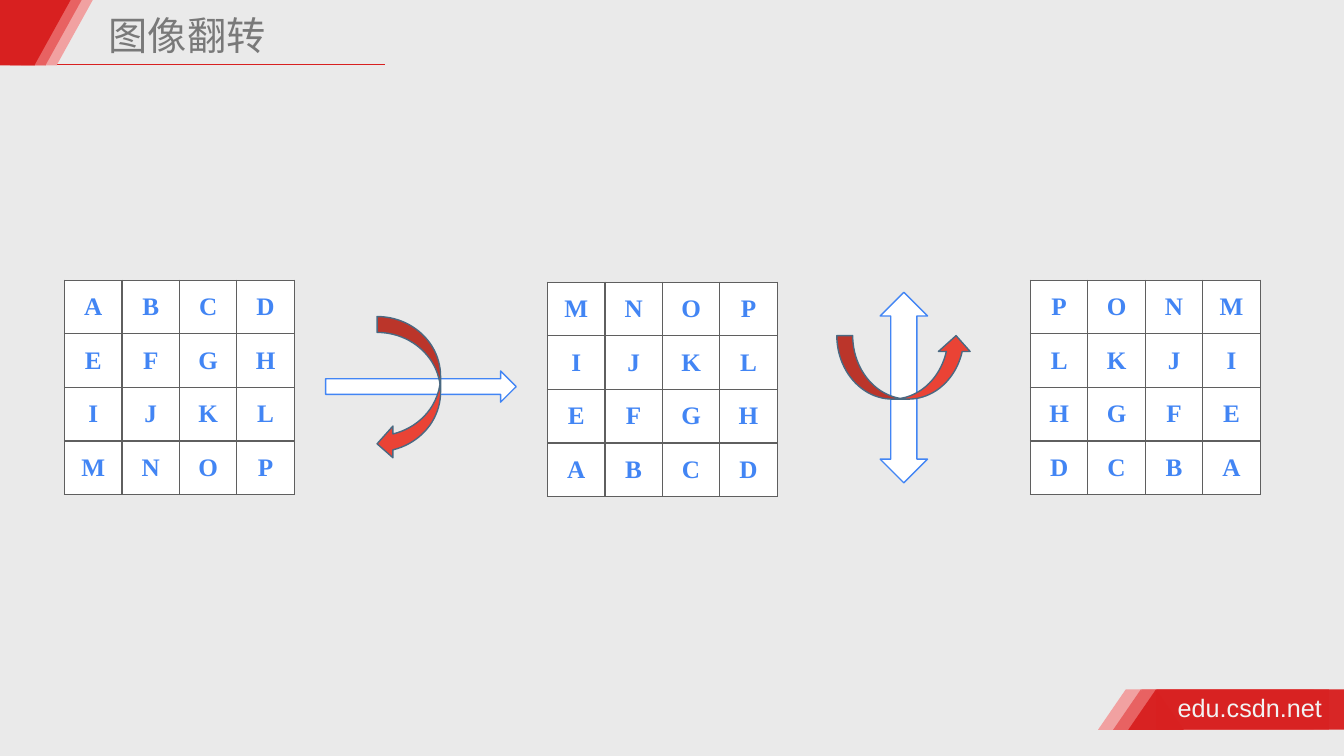
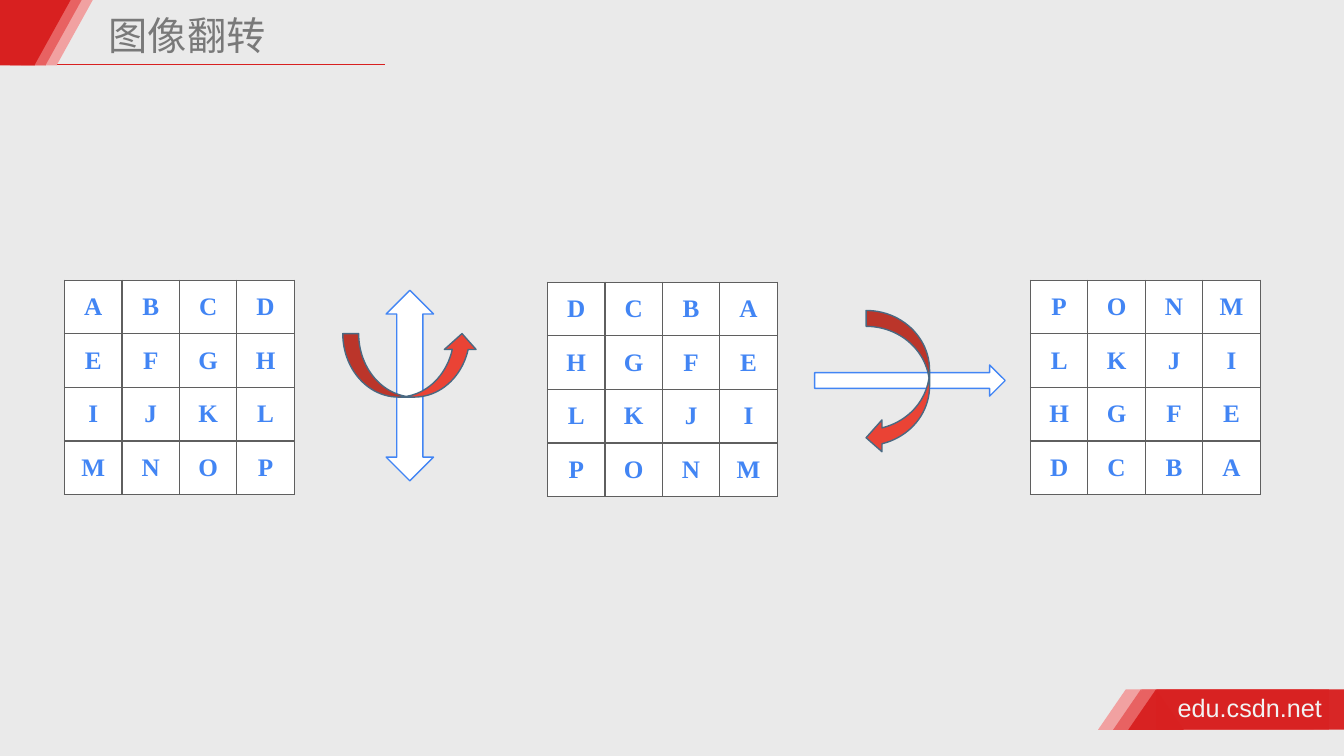
from lxml import etree
from pptx import Presentation
from pptx.dml.color import RGBColor
from pptx.enum.shapes import MSO_CONNECTOR, MSO_SHAPE
from pptx.enum.text import MSO_ANCHOR, MSO_AUTO_SIZE, PP_ALIGN
from pptx.oxml.ns import qn
from pptx.util import Inches, Pt

RECTANGLE, TRIANGLE = MSO_SHAPE.RECTANGLE, MSO_SHAPE.ISOSCELES_TRIANGLE
RIGHT_ARROW, UP_DOWN_ARROW = MSO_SHAPE.RIGHT_ARROW, MSO_SHAPE.UP_DOWN_ARROW
CURL_LEFT, CURL_UP = MSO_SHAPE.CURVED_LEFT_ARROW, MSO_SHAPE.CURVED_UP_ARROW
STRAIGHT = MSO_CONNECTOR.STRAIGHT
CENTER, MIDDLE = PP_ALIGN.CENTER, MSO_ANCHOR.MIDDLE
FIT_SHAPE = MSO_AUTO_SIZE.SHAPE_TO_FIT_TEXT

COLOURS = {
    "page": "EAEAEA", "pale": "F1A1A1", "mid": "E86262", "red": "D82020",
    "title": "797979", "footer": "F2F2F2", "white": "FFFFFF",
    "blue": "4285F4", "border": "5F5F5F", "curl": "EA4335", "curl_edge": "4A6982",
}
TITLE_FONT, FOOTER_FONT, LETTER_FONT = "Noto Sans CJK SC", "Arial", "Times New Roman"
GRID_STEP = 0.1
CELL_WIDTH, CELL_HEIGHT = 5.7, 5.32
LETTERS = ["ABCD", "EFGH", "IJKL", "MNOP"]


def grid(*steps):
    return [Inches(step * GRID_STEP) for step in steps]


def colour(name):
    return RGBColor.from_string(COLOURS[name])


def flip_rows(rows):
    return rows[::-1]


def flip_columns(rows):
    return [row[::-1] for row in rows]


class FlipDeck:
    """Holds the deck style and current page, placing elements on a grid of tenths of an inch."""

    def __init__(self):
        self.deck = Presentation()
        self.deck.slide_width, self.deck.slide_height = Inches(13.33), Inches(7.5)
        backdrop = self.deck.slide_master.background.fill
        backdrop.solid()
        backdrop.fore_color.rgb = colour("page")

    def new_page(self, title):
        self.page = self.deck.slides.add_slide(self.deck.slide_layouts[6])
        self.rule(4.9, 38.2, 6.4)
        for index, tint in enumerate(("pale", "mid", "red")):
            left = 108.9 + 1.5 * index
            opacity = 97 if tint == "red" else 100
            self.shape(RECTANGLE, left + 2.8, 68.4, 18.6, 4, tint, opacity=opacity)
            self.shape(TRIANGLE, left, 68.4, 5.5, 4, tint, opacity=opacity)
        self.text("edu.csdn.net", 116.3, 68.2, 15.5, 4, 18, FOOTER_FONT, "footer", wrap=False)
        for index, tint in enumerate(("pale", "mid", "red")):
            left = 2 - 1.1 * index
            self.shape(RECTANGLE, left + 0.1, 0, 3.5, 6.5, tint)
            self.shape(TRIANGLE, left, 0, 7.2, 6.5, tint).rotation = 180
        self.text(title, 10.3, 1.2, 43.6, 5.3, 28, TITLE_FONT, "title", spacing=0.9)

    def rule(self, start, end, top):
        line = self.page.shapes.add_connector(STRAIGHT, *grid(start, top, end, top))
        line.line.color.rgb = colour("red")
        line.line.width = Pt(1)
        etree.SubElement(line._element.spPr, qn("a:effectLst"))

    def shape(self, kind, left, top, width, height, fill, edge=None, opacity=100):
        shape = self.page.shapes.add_shape(kind, *grid(left, top, width, height))
        shape.shadow.inherit = False
        shape.fill.solid()
        shape.fill.fore_color.rgb = colour(fill)
        if opacity < 100:
            tint = shape._element.spPr.find(qn("a:solidFill"))[0]
            etree.SubElement(tint, qn("a:alpha"), val=str(opacity * 1000))
        if edge:
            shape.line.color.rgb = colour(edge)
            shape.line.width = Pt(1)
        else:
            shape.line.fill.background()
        return shape

    def style(self, para, size, font, tint, bold=False):
        para.font.size = Pt(size)
        para.font.bold = bold
        para.font.color.rgb = colour(tint)
        para.font.name = font
        properties = para._p.pPr.find(qn("a:defRPr"))
        etree.SubElement(properties, qn("a:ea"), typeface=font)

    def text(self, words, left, top, width, height, size, font, tint, wrap=True, spacing=None):
        box = self.page.shapes.add_textbox(*grid(left, top, width, height))
        frame = box.text_frame
        frame.word_wrap = wrap
        frame.auto_size = FIT_SHAPE
        frame.margin_left = frame.margin_right = Inches(0.05)
        frame.margin_top = frame.margin_bottom = Inches(0.05)
        para = frame.paragraphs[0]
        para.text = words
        para.line_spacing = spacing
        self.style(para, size, font, tint)

    def matrix(self, rows, left, top):
        size = len(rows)
        place = grid(left, top, CELL_WIDTH * size, CELL_HEIGHT * size)
        table = self.page.shapes.add_table(size, size, *place).table
        table.first_row = table.horz_banding = False
        for row_index, row in enumerate(rows):
            for column_index, letter in enumerate(row):
                self.letter_cell(table.cell(row_index, column_index), letter)

    def letter_cell(self, cell, letter):
        cell.margin_left = cell.margin_right = cell.margin_top = cell.margin_bottom = 0
        cell.vertical_anchor = MIDDLE
        properties = cell._tc.get_or_add_tcPr()
        for side in ("lnL", "lnR", "lnT", "lnB"):
            border = etree.SubElement(properties, qn(f"a:{side}"), w=str(Pt(1)))
            fill = etree.SubElement(border, qn("a:solidFill"))
            etree.SubElement(fill, qn("a:srgbClr"), val=COLOURS["border"])
        cell.fill.solid()
        cell.fill.fore_color.rgb = colour("white")
        para = cell.text_frame.paragraphs[0]
        para.text = letter
        para.alignment = CENTER
        self.style(para, 18, LETTER_FONT, "blue", bold=True)

    def horizontal_axis(self, left, top):
        self.shape(RIGHT_ARROW, left, top, 18.9, 3.1, "white", "blue")
        self.shape(CURL_LEFT, left + 5.1, top - 5.4, 6.3, 14.2, "curl", "curl_edge")

    def vertical_axis(self, left, top):
        arrow = self.shape(UP_DOWN_ARROW, left, top, 4.7, 18.9, "white", "blue")
        arrow.adjustments[0], arrow.adjustments[1] = 0.36, 0.55
        self.shape(CURL_UP, left - 4.3, top + 4.3, 13.4, 6.3, "curl", "curl_edge")

    def flip_page(self, first_flip, second_flip):
        self.new_page("图像翻转")
        once = first_flip(LETTERS)
        self.matrix(LETTERS, 6.4, 27.8)
        self.matrix(once, 54.3, 28)
        self.matrix(second_flip(once), 102.2, 27.8)


def main():
    flips = FlipDeck()
    flips.flip_page(flip_rows, flip_columns)
    flips.horizontal_axis(32.3, 36.8)
    flips.vertical_axis(87.3, 29)
    flips.flip_page(flip_columns, flip_rows)
    flips.horizontal_axis(80.8, 36.2)
    flips.vertical_axis(38.3, 28.8)
    flips.deck.save("out.pptx")


if __name__ == "__main__":
    main()
